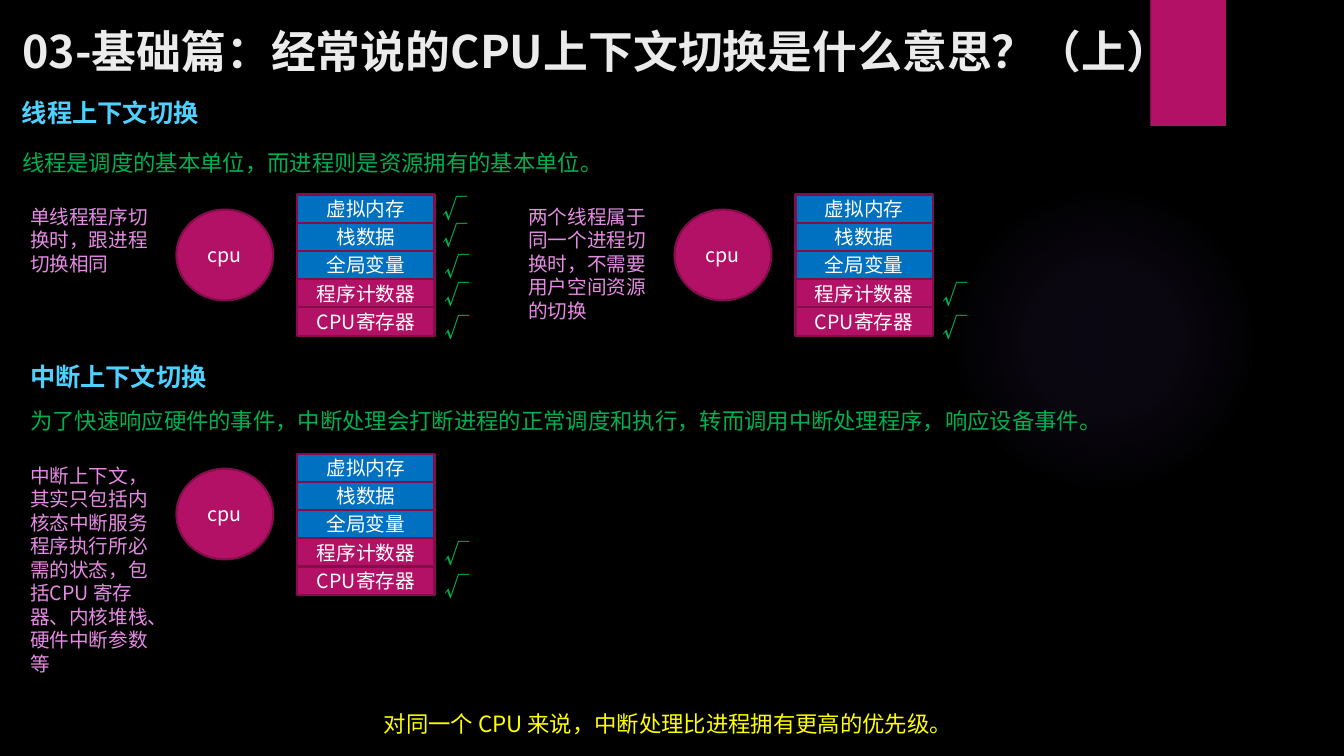
from lxml import etree
from pptx import Presentation
from pptx.dml.color import RGBColor
from pptx.enum.shapes import MSO_SHAPE as SHAPE
from pptx.enum.text import MSO_ANCHOR as ANCHOR, MSO_AUTO_SIZE as AUTO, PP_ALIGN as ALIGN
from pptx.oxml import parse_xml
from pptx.oxml.ns import qn
from pptx.util import Emu, Pt

FONT = "Noto Sans CJK SC"
BLACK, WHITE, PINK, DARK_PINK, BLUE = "000000", "FFFFFF", "B31166", "840D4B", "0070C0"
GREEN, CYAN, VIOLET, YELLOW, TITLE = "00B050", "4FD1FF", "E68BE3", "FFFF00", "EBEBEB"
GLOW, GLOW_STOPS = "9B6BF2", [(0, 7), (36, 6), (69, 0)]  # (position %, opacity %)
A_NS = "http://schemas.openxmlformats.org/drawingml/2006/main"


def px(n):
    """Convert px, 100 to the inch, into EMU."""
    return Emu(n * 9144)


def rgb(hex_color):
    return RGBColor.from_string(hex_color)


class Deck:
    styles = {
        "title": {"size": Pt(32), "bold": True, "color": TITLE},
        "heading": {"size": Pt(18), "bold": True, "color": CYAN},
        "lead": {"size": Pt(16), "color": GREEN},
        "note": {"size": Pt(14), "color": VIOLET},
        "check": {"size": Pt(18), "color": GREEN},
        "label": {"size": Pt(14), "color": WHITE},
        "summary": {"size": Pt(16), "color": YELLOW},
    }

    def __init__(self, width, height):
        self.prs = Presentation()
        self.prs.slide_width, self.prs.slide_height = px(width), px(height)
        self.s = self.prs.slides.add_slide(self.prs.slide_layouts[5])
        fill = self.s.background.fill
        fill.solid()
        fill.fore_color.rgb = rgb(BLACK)

    def put_text(self, tf, text, style, align=ALIGN.LEFT):
        p = tf.paragraphs[0]
        p.alignment = align
        r = p.add_run()
        r.text = text
        for name, value in {"name": FONT, **self.styles[style]}.items():
            if name == "color":
                r.font.color.rgb = rgb(value)
            else:
                setattr(r.font, name, value)
        ea = etree.SubElement(r.font._element, qn("a:ea"))
        ea.set("typeface", FONT)

    def title(self, text, *box):
        sp = self.s.shapes.title
        for name, n in zip(("left", "top", "width", "height"), box):
            setattr(sp, name, px(n))
        tf = sp.text_frame
        tf.auto_size, tf.vertical_anchor = AUTO.NONE, ANCHOR.MIDDLE
        self.put_text(tf, text, "title")

    def text(self, text, style, *box, wrap=True, align=ALIGN.LEFT):
        tf = self.s.shapes.add_textbox(*map(px, box)).text_frame
        tf.word_wrap, tf.auto_size = wrap, AUTO.SHAPE_TO_FIT_TEXT
        self.put_text(tf, text, style, align)

    def shape(self, kind, color, *box, line=None, label=None):
        sp = self.s.shapes.add_shape(kind, *map(px, box))
        sp.shadow.inherit = False
        sp.fill.solid()
        sp.fill.fore_color.rgb = rgb(color)
        if line:
            sp.line.color.rgb, sp.line.width = rgb(line), Pt(1.5)
        else:
            sp.line.fill.background()
        if label:
            sp.text_frame.vertical_anchor = ANCHOR.MIDDLE
            self.put_text(sp.text_frame, label, "label", ALIGN.CENTER)
        return sp

    def backdrop(self, kind, color, *box):
        """Add a decorative shape behind the title."""
        sp = self.shape(kind, color, *box)
        self.s.shapes.title._element.addprevious(sp._element)
        return sp

    def glow(self, *box):
        sp = self.backdrop(SHAPE.OVAL, GLOW, *box)
        stops = "".join(
            f'<a:gs pos="{pos * 1000}"><a:srgbClr val="{GLOW}">'
            f'<a:alpha val="{alpha * 1000}"/></a:srgbClr></a:gs>'
            for pos, alpha in GLOW_STOPS)
        grad = parse_xml(
            f'<a:gradFill xmlns:a="{A_NS}"><a:gsLst>{stops}</a:gsLst><a:path path="circle">'
            '<a:fillToRect l="50000" t="50000" r="50000" b="50000"/></a:path></a:gradFill>')
        solid = sp._element.spPr.find(qn("a:solidFill"))
        solid.getparent().replace(solid, grad)

    def context(self, x, y, note, note_height, first_check):
        """Draw a note, a CPU and its resource stack, ticked from first_check down."""
        self.shape(SHAPE.OVAL, PINK, x + 155, y + 15, 96, 90, line=DARK_PINK, label="cpu")
        for i, (label, color, _, _) in reversed(list(enumerate(RESOURCES))):
            self.shape(SHAPE.RECTANGLE, color, x + 275, y + 28 * i, 136, 28,
                       line=DARK_PINK, label=label)
        self.text(note, "note", x, y + 5, 139, note_height)
        for _, _, dx, dy in RESOURCES[first_check:]:
            self.text("√", "check", x + dx, y + dy, 41, 40)


# label, fill, offset of the tick
RESOURCES = [
    ("虚拟内存", BLUE, 409, -6),
    ("栈数据", BLUE, 409, 21),
    ("全局变量", BLUE, 411, 51),
    ("程序计数器", PINK, 411, 79),
    ("CPU寄存器", PINK, 411, 112),
]


def main():
    d = Deck(1333, 750)
    d.glow(941, 183, 308, 308)
    d.backdrop(SHAPE.RECTANGLE, PINK, 1141, 0, 75, 125)
    d.title("03-基础篇：经常说的CPU上下文切换是什么意思？（上）", 12, 17, 1240, 66)

    d.text("线程上下文切换", "heading", 12, 92, 197, 40, wrap=False)
    d.text("线程是调度的基本单位，而进程则是资源拥有的基本单位。", "lead", 12, 143, 809, 37)
    d.context(20, 193, "单线程程序切换时，跟进程切换相同", 81, 0)
    d.context(514, 193, "两个线程属于同一个进程切换时，不需要用户空间资源的切换", 128, 3)

    d.text("中断上下文切换", "heading", 20, 354, 197, 40, wrap=False)
    d.text("为了快速响应硬件的事件，中断处理会打断进程的正常调度和执行，"
           "转而调用中断处理程序，响应设备事件。", "lead", 20, 399, 1158, 37)
    d.context(20, 450, "中断上下文，其实只包括内核态中断服务程序执行所必需的状态，"
              "包括CPU 寄存器、内核堆栈、硬件中断参数等", 222, 3)

    d.text("对同一个 CPU 来说，中断处理比进程拥有更高的优先级。", "summary",
           258, 700, 809, 37, align=ALIGN.CENTER)
    d.prs.save("out.pptx")


if __name__ == "__main__":
    main()
